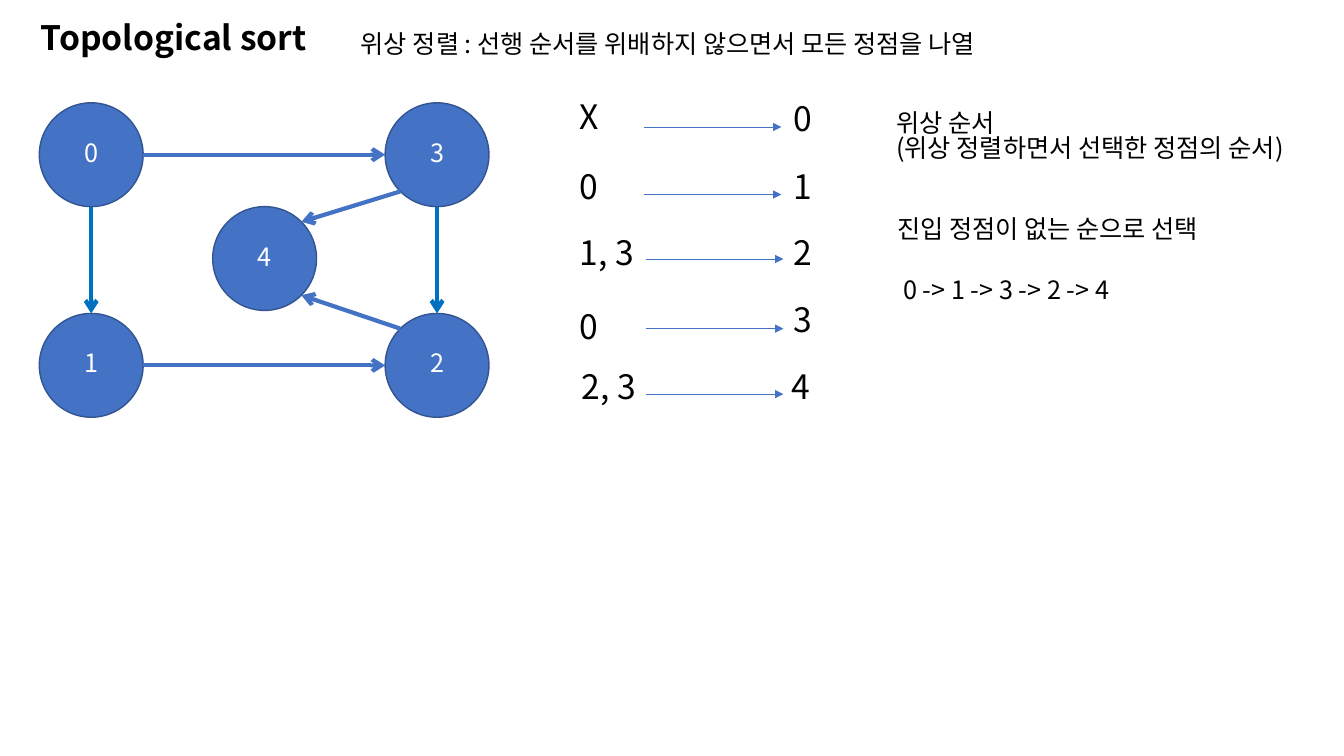
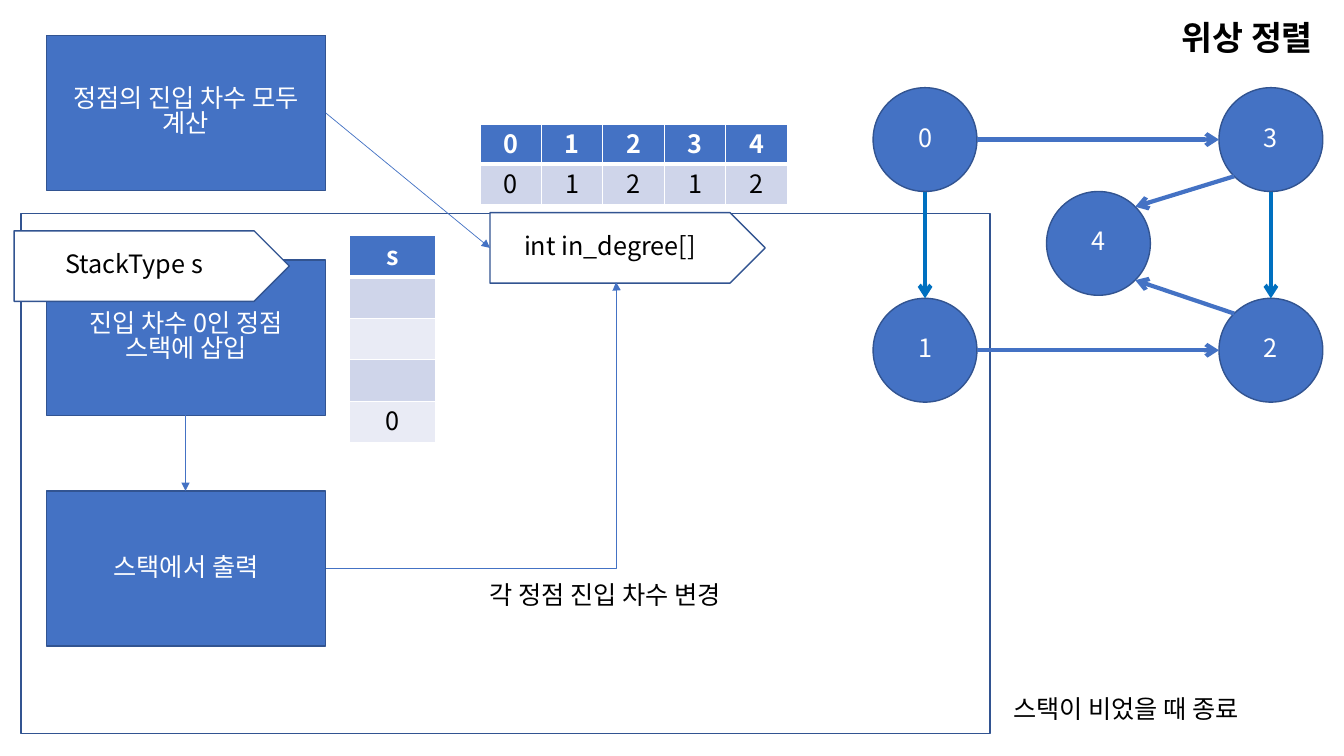
from math import cos, radians, sin

from lxml.etree import SubElement
from pptx import Presentation
from pptx.dml.color import RGBColor
from pptx.enum.shapes import MSO_CONNECTOR as Connector, MSO_SHAPE as Shape
from pptx.enum.text import MSO_ANCHOR as Anchor, PP_ALIGN as Align
from pptx.oxml import parse_xml
from pptx.oxml.ns import nsdecls, qn
from pptx.util import Pt

PX = 9144
FONT = "Noto Sans CJK KR"
LINE_SPACING = 0.83
BLUE = RGBColor(0x44, 0x72, 0xC4)
DARK_BLUE = RGBColor(0x32, 0x54, 0x91)
BRIGHT_BLUE = RGBColor(0x00, 0x70, 0xC0)
BAND_DARK = RGBColor(0xCF, 0xD5, 0xEA)
BAND_LIGHT = RGBColor(0xE9, 0xEB, 0xF5)
WHITE = RGBColor(0xFF, 0xFF, 0xFF)
BLACK = RGBColor(0x00, 0x00, 0x00)

DIAMETER = 103
NODES = {"0": (0, 0), "1": (0, 209), "2": (343, 209), "4": (172, 103), "3": (343, 0)}
EDGES = [
    ("3", 135, "4", 315, BLUE),
    ("0", 90, "1", 270, BRIGHT_BLUE),
    ("3", 90, "2", 270, BRIGHT_BLUE),
    ("1", 0, "2", 180, BLUE),
    ("0", 0, "3", 180, BLUE),
    ("2", 225, "4", 45, BLUE),
]


def px(*lengths):
    return [round(length * PX) for length in lengths]


def format_text(text_frame, size, color, align, bold=False):
    for paragraph in text_frame.paragraphs:
        paragraph.alignment = align
        paragraph.line_spacing = LINE_SPACING
        for run in paragraph.runs:
            run.font.name = FONT
            run.font.size = Pt(size)
            run.font.bold = bold
            run.font.color.rgb = color
            SubElement(run.font._element, qn("a:ea"), typeface=FONT)


def add_text(slide, text, left, top, width, height, size=18):
    text_frame = slide.shapes.add_textbox(*px(left, top, width, height)).text_frame
    text_frame.word_wrap = False
    text_frame.text = text
    format_text(text_frame, size, BLACK, Align.LEFT)


def add_title(slide, text, left):
    text_frame = slide.shapes.add_textbox(*px(left, 19, 314, 50)).text_frame
    text_frame.word_wrap = True
    text_frame.text = text
    format_text(text_frame, 24, BLACK, Align.RIGHT, bold=True)


def add_block(shapes, kind, box, text="", fill=BLUE, color=WHITE):
    shape = shapes.add_shape(kind, *px(*box))
    shape.shadow.inherit = False
    if fill is None:
        shape.fill.background()
    else:
        shape.fill.solid()
        shape.fill.fore_color.rgb = fill
    shape.line.color.rgb = DARK_BLUE
    shape.line.width = Pt(1)
    shape.text_frame.vertical_anchor = Anchor.MIDDLE
    shape.text_frame.word_wrap = True
    shape.text_frame.text = text
    format_text(shape.text_frame, 18, color, Align.CENTER)
    return shape


def add_process(slide, text, top):
    add_block(slide.shapes, Shape.FLOWCHART_PROCESS, (46, top, 277, 154), text)


def add_variable(slide, text, left, top):
    shape = add_block(slide.shapes, Shape.RIGHT_ARROW, (left, top, 273, 70), text, WHITE, BLACK)
    shape.adjustments[0] = 1
    shape.adjustments[1] = 0.5


def add_arrow(shapes, start, end, color=BLUE, width=0.5, head="triangle", kind=Connector.STRAIGHT):
    connector = shapes.add_connector(kind, *px(*start, *end))
    connector.line.color.rgb = color
    connector.line.width = Pt(width)
    SubElement(connector.line._get_or_add_ln(), qn("a:tailEnd"), type=head)
    SubElement(connector._element.spPr, qn("a:effectLst"))
    return connector


def rim_point(node, angle, left, top):
    radius = DIAMETER / 2
    x, y = NODES[node]
    return (
        left + x + radius + radius * cos(radians(angle)),
        top + y + radius + radius * sin(radians(angle)),
    )


def add_graph(slide, left, top):
    shapes = slide.shapes.add_group_shape().shapes
    for label, (x, y) in NODES.items():
        add_block(shapes, Shape.OVAL, (left + x, top + y, DIAMETER, DIAMETER), label)
    for source, source_angle, target, target_angle, color in EDGES:
        start = rim_point(source, source_angle, left, top)
        end = rim_point(target, target_angle, left, top)
        add_arrow(shapes, start, end, color, 3, "arrow")


def set_borders(cell, widths):
    properties = cell._tc.get_or_add_tcPr()
    for index, (side, width) in enumerate(zip("LRTB", widths)):
        border = parse_xml(
            f'<a:ln{side} {nsdecls("a")} w="{Pt(width)}"><a:solidFill>'
            f'<a:srgbClr val="{WHITE}"/></a:solidFill></a:ln{side}>'
        )
        properties.insert(index, border)


def add_table(slide, rows, left, top, column_width, row_height):
    row_count, column_count = len(rows), len(rows[0])
    size = (column_width * column_count, row_height * row_count)
    table = slide.shapes.add_table(row_count, column_count, *px(left, top, *size)).table
    for row_index, row in enumerate(rows):
        header = row_index == 0
        fill = BLUE if header else (BAND_LIGHT, BAND_DARK)[row_index % 2]
        for column_index, text in enumerate(row):
            cell = table.cell(row_index, column_index)
            cell.text = text
            format_text(cell.text_frame, 18, WHITE if header else BLACK, Align.CENTER, header)
            cell.fill.solid()
            cell.fill.fore_color.rgb = fill
            set_borders(cell, (1, 1, 3 if row_index == 1 else 1, 3 if header else 1))


def add_predecessors(slide):
    entries = [
        ("X", 565, 97, "0", 777, 99, 639, 126),
        ("0", 565, 166, "1", 777, 166, 639, 193),
        ("1, 3", 565, 232, "2", 777, 232, 641, 257),
        ("0", 565, 305, "3", 777, 298, 641, 326),
        ("2, 3", 567, 365, "4", 775, 365, 641, 391),
    ]
    for before, before_left, before_top, node, node_left, node_top, x, y in entries:
        add_text(slide, before, before_left, before_top, 77 if "," in before else 39, 50, 24)
        add_text(slide, node, node_left, node_top, 39, 50, 24)
        add_arrow(slide.shapes, (x, y), (x + 136, y))


def build_sort_slide(slide):
    add_title(slide, "Topological sort", 0)
    add_graph(slide, 39, 102)
    add_predecessors(slide)
    add_text(slide, "진입 정점이 없는 순으로 선택", 880, 212, 359, 40)
    add_text(slide, "위상 정렬 : 선행 순서를 위배하지 않으면서 모든 정점을 나열", 348, 28, 712, 40)
    add_text(slide, "위상 순서\n(위상 정렬하면서 선택한 정점의 순서)", 879, 107, 450, 71)
    add_text(slide, "0 -> 1 -> 3 -> 2 -> 4", 886, 272, 273, 40)


def build_stack_slide(slide):
    add_process(slide, "진입 차수 0인 정점\n스택에 삽입", 258)
    add_text(slide, "각 정점 진입 차수 변경", 476, 575, 283, 40)
    add_block(slide.shapes, Shape.FLOWCHART_PROCESS, (21, 212, 961, 516), fill=None)
    add_title(slide, "위상 정렬", 998)
    add_process(slide, "정점의 진입 차수 모두 계산", 35)
    add_text(slide, "스택이 비었을 때 종료", 995, 688, 274, 40)
    add_graph(slide, 866, 87)
    add_variable(slide, "int in_degree[]", 486, 211)
    add_process(slide, "스택에서 출력", 487)
    add_arrow(slide.shapes, (184, 412), (184, 487))
    elbow = add_arrow(slide.shapes, (323, 564), (611, 280), kind=Connector.ELBOW)
    guides = elbow._element.spPr.find(qn("a:prstGeom")).get_or_add_avLst()
    SubElement(guides, qn("a:gd"), name="adj1", fmla="val 100200")
    add_variable(slide, "StackType s", 14, 229)
    add_table(slide, [["s"], [""], [""], [""], ["0"]], 347, 234, 85, 41)
    add_table(slide, [list("01234"), list("01212")], 476, 123, 61, 40)
    add_arrow(slide.shapes, (323, 112), (486, 246))


def main():
    presentation = Presentation()
    presentation.slide_width, presentation.slide_height = px(1333, 750)
    blank = presentation.slide_layouts[6]
    for build in (build_sort_slide, build_stack_slide):
        build(presentation.slides.add_slide(blank))
    presentation.save("out.pptx")


if __name__ == "__main__":
    main()
